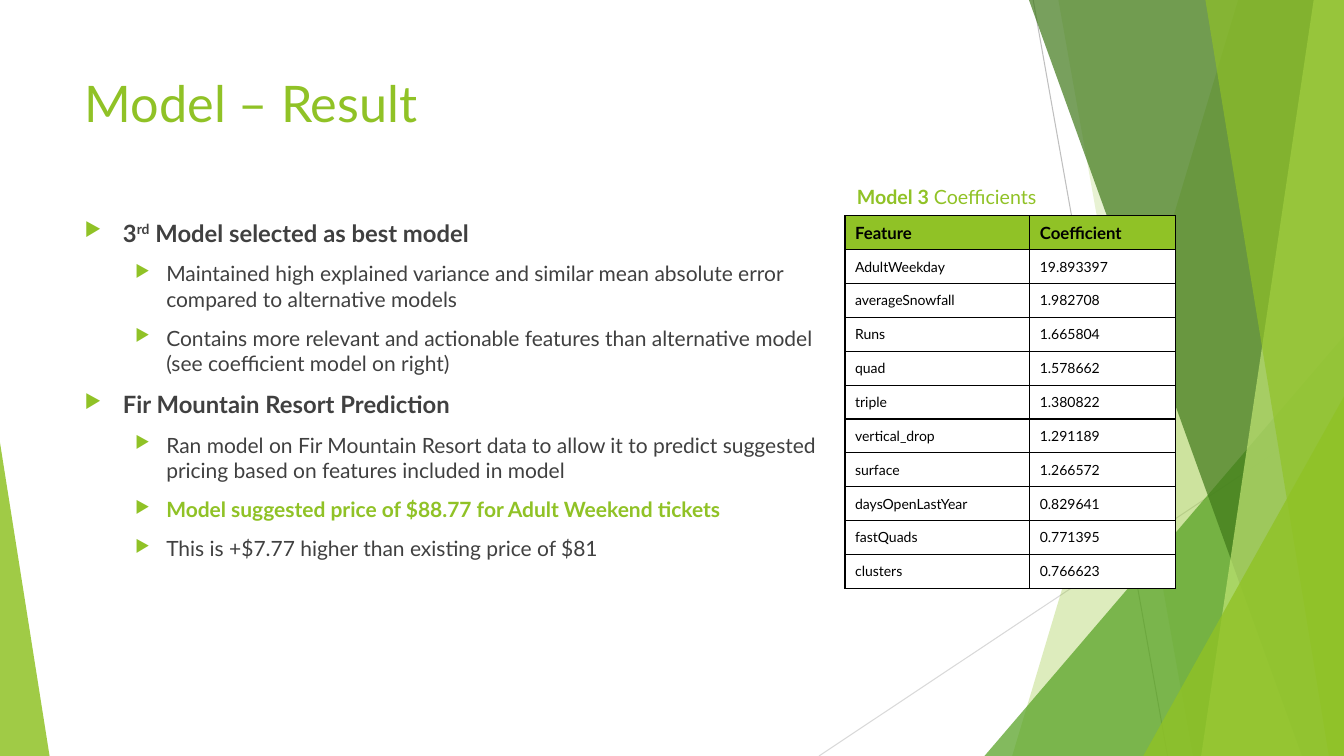
from lxml import etree
from pptx import Presentation
from pptx import util as u
from pptx.dml.color import RGBColor
from pptx.enum import shapes, text
from pptx.oxml import parse_xml
from pptx.oxml.ns import nsdecls, qn

LIME = RGBColor(0x90, 0xC2, 0x26)
PALE_LIME = RGBColor(0xC0, 0xE4, 0x74)
GREEN = RGBColor(0x54, 0xA0, 0x21)
FOREST = RGBColor(0x3F, 0x78, 0x19)
CHARCOAL = RGBColor(0x40, 0x40, 0x40)
GRAY = RGBColor(0xBF, 0xBF, 0xBF)
LIGHT_GRAY = RGBColor(0xD9, 0xD9, 0xD9)
BLACK = RGBColor(0, 0, 0)
WHITE = RGBColor(0xFF, 0xFF, 0xFF)

COLUMNS, ROWS = 160, 90
CELL = u.Inches(1 / 12)

# Top column, bottom column, colour, opacity in percent
FACETS = [
    (147.4, 120.5, LIME, 30),
    (126, 142, LIME, 20),
    (122.5, 155, FOREST, 70),
    (156.4, 143, PALE_LIME, 70),
    (143.5, 158.2, LIME, 65),
]

# Level, then runs of (words, bold, colour, superscript)
FINDINGS = [
    (0, [("3", True, CHARCOAL, False), ("rd", True, CHARCOAL, True),
         (" Model selected as best model", True, CHARCOAL, False)]),
    (1, [("Maintained high explained variance and similar mean absolute error "
          "compared to alternative models", False, CHARCOAL, False)]),
    (1, [("Contains more relevant and actionable features than alternative model "
          "(see coefficient model on right)", False, CHARCOAL, False)]),
    (0, [("Fir Mountain Resort Prediction", True, CHARCOAL, False)]),
    (1, [("Ran model on Fir Mountain Resort data to allow it to predict suggested "
          "pricing based on features included in model", False, CHARCOAL, False)]),
    (1, [("Model suggested price of $88.77 for Adult Weekend tickets",
          True, LIME, False)]),
    (1, [("This is +$7.77 higher than existing price of $81",
          False, CHARCOAL, False)]),
]
LEVEL_STYLES = [(17, 0.38, 0.38), (15, 0.81, 0.31)]  # size, margin, hanging indent

COEFFICIENTS = [
    ("Feature", "Coefficient"),
    ("AdultWeekday", "19.893397"),
    ("averageSnowfall", "1.982708"),
    ("Runs", "1.665804"),
    ("quad", "1.578662"),
    ("triple", "1.380822"),
    ("vertical_drop", "1.291189"),
    ("surface", "1.266572"),
    ("daysOpenLastYear", "0.829641"),
    ("fastQuads", "0.771395"),
    ("clusters", "0.766623"),
]


def grid(*counts):
    """Turn counts of grid cells into lengths."""
    return [u.Emu(round(count * CELL)) for count in counts]


class SlideBuilder:
    """Draws on one page in a shared style, measured in grid cells."""

    def __init__(self, page, font="Lato"):
        self.page = page
        self.font = font

    def line(self, start, end, color):
        connector = self.page.shapes.add_connector(
            shapes.MSO_CONNECTOR.STRAIGHT, *grid(*start, *end))
        connector.line.color.rgb = color
        connector.line.width = u.Pt(0.75)
        etree.SubElement(connector._element.spPr, qn("a:effectLst"))

    def paint(self, shape, color, opacity):
        shape.shadow.inherit = False
        shape.line.fill.background()
        shape.fill.solid()
        shape.fill.fore_color.rgb = color
        tint = shape._element.spPr.find(f"{qn('a:solidFill')}/{qn('a:srgbClr')}")
        etree.SubElement(tint, qn("a:alpha"), val=str(opacity * 1000))

    def facet(self, top, bottom, color, opacity):
        """Fill the area from a slanted edge to the right side of the page."""
        corners = [(COLUMNS, 0), (COLUMNS, ROWS), (bottom, ROWS)]
        builder = self.page.shapes.build_freeform(*grid(top, 0))
        builder.add_line_segments([grid(*corner) for corner in corners], close=True)
        self.paint(builder.convert_to_shape(), color, opacity)

    def triangle(self, area, apex, color, opacity):
        shape = self.page.shapes.add_shape(
            shapes.MSO_SHAPE.ISOSCELES_TRIANGLE, *grid(*area))
        shape.adjustments[0] = apex
        self.paint(shape, color, opacity)

    def span(self, para, words, size, color, bold=False, raised=False):
        span = para.add_run()
        span.text = words
        span.font.name = self.font
        span.font.size = u.Pt(size)
        span.font.bold = bold
        span.font.color.rgb = color
        if raised:
            span._r.get_or_add_rPr().set("baseline", "30000")

    def text_frame(self, area):
        box = self.page.shapes.add_textbox(*grid(*area))
        box.text_frame.word_wrap = True
        return box.text_frame

    def label(self, area, spans, size, align=text.PP_ALIGN.LEFT):
        para = self.text_frame(area).paragraphs[0]
        para.alignment = align
        for words, bold in spans:
            self.span(para, words, size, LIME, bold)

    def bullet(self, para, margin, hanging):
        properties = para._p.get_or_add_pPr()
        properties.set("marL", str(u.Inches(margin)))
        properties.set("indent", str(-u.Inches(hanging)))
        color = etree.SubElement(properties, qn("a:buClr"))
        etree.SubElement(color, qn("a:srgbClr"), val=str(LIME))
        etree.SubElement(properties, qn("a:buSzPct"), val="80000")
        etree.SubElement(properties, qn("a:buChar"), char="▶")

    def bullet_list(self, area, items):
        frame = self.text_frame(area)
        for index, (level, spans) in enumerate(items):
            para = frame.add_paragraph() if index else frame.paragraphs[0]
            size, margin, hanging = LEVEL_STYLES[level]
            para.level = level
            para.space_before = u.Pt(10)
            self.bullet(para, margin, hanging)
            for words, bold, color, raised in spans:
                self.span(para, words, size, color, bold, raised)

    def border(self, cell):
        properties = cell._tc.get_or_add_tcPr()
        for index, side in enumerate(("lnL", "lnR", "lnT", "lnB")):
            properties.insert(index, parse_xml(
                f'<a:{side} {nsdecls("a")} w="{u.Pt(1)}"><a:solidFill>'
                f'<a:srgbClr val="{BLACK}"/></a:solidFill></a:{side}>'))

    def table(self, left, top, widths, row_height, records):
        area = (left, top, sum(widths), row_height * len(records))
        table = self.page.shapes.add_table(
            len(records), len(widths), *grid(*area)).table
        table.horz_banding = False
        for column, width in zip(table.columns, grid(*widths)):
            column.width = width
        for row_index, record in enumerate(records):
            heading = row_index == 0
            table.rows[row_index].height = grid(row_height)[0]
            for column_index, words in enumerate(record):
                cell = table.cell(row_index, column_index)
                cell.vertical_anchor = text.MSO_ANCHOR.MIDDLE
                cell.fill.solid()
                cell.fill.fore_color.rgb = LIME if heading else WHITE
                self.border(cell)
                self.span(cell.text_frame.paragraphs[0], words,
                          12 if heading else 10, BLACK, heading)


def main():
    deck = Presentation()
    deck.slide_width, deck.slide_height = grid(COLUMNS, ROWS)
    slide = SlideBuilder(deck.slides.add_slide(deck.slide_layouts[6]))

    slide.line((123, 0), (139, ROWS), GRAY)
    slide.line((COLUMNS, 48.4), (97.5, ROWS), LIGHT_GRAY)
    for facet in FACETS[:2]:
        slide.facet(*facet)
    slide.triangle((117.2, 40, 42.8, 50), 1, GREEN, 72)
    for facet in FACETS[2:]:
        slide.facet(*facet)
    slide.triangle((136.1, 47.2, 23.9, 42.8), 1, LIME, 80)
    slide.triangle((0, 52.7, 5.9, 37.3), 0, LIME, 85)

    slide.label((8.9, 8, 112.8, 17.3), [("Model – Result", False)], 36)
    slide.bullet_list((8.9, 25.4, 91.7, 48.1), FINDINGS)
    slide.table(100.6, 25.7, (22, 17.3), 4.03, COEFFICIENTS)
    slide.label((100.6, 21.4, 24.2, 4.1),
                [("Model 3 ", True), ("Coefficients", False)],
                14, text.PP_ALIGN.CENTER)
    deck.save("out.pptx")


if __name__ == "__main__":
    main()
